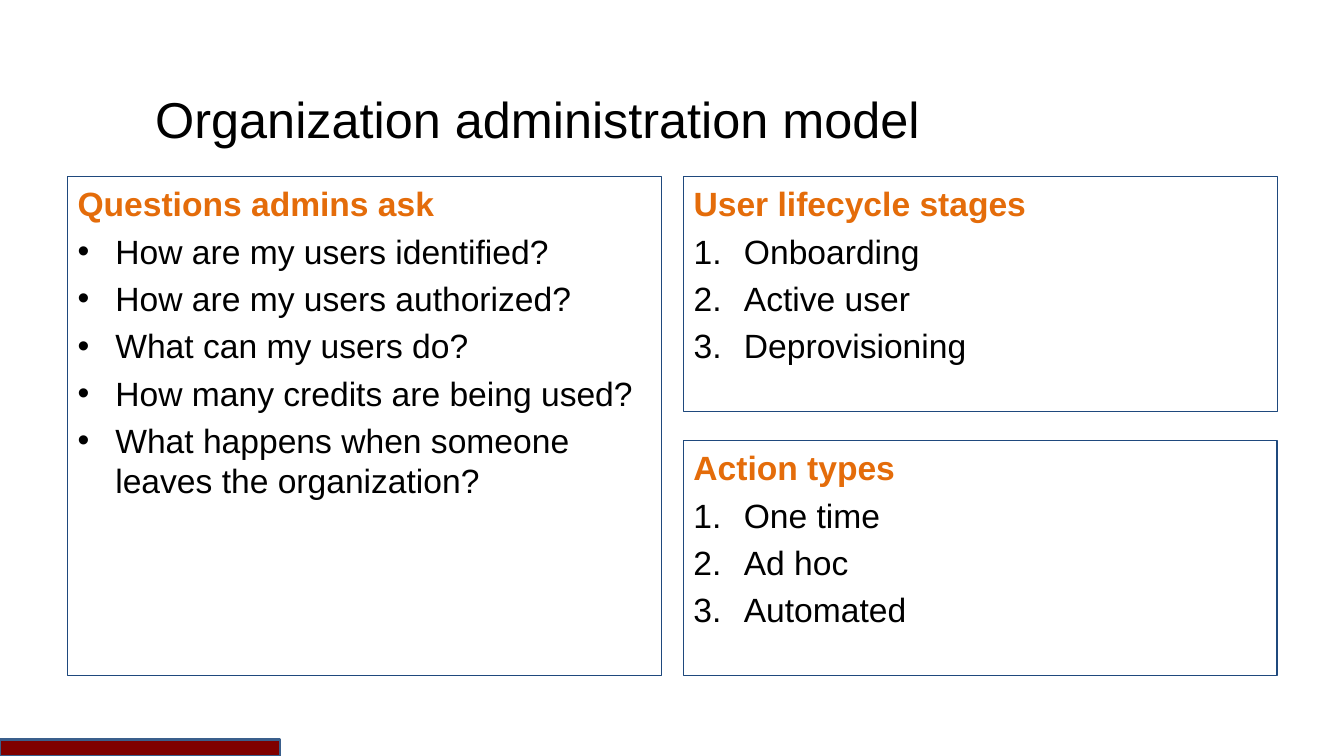
from dataclasses import dataclass
from typing import Optional

from lxml.etree import SubElement
from pptx import Presentation
from pptx.dml.color import RGBColor
from pptx.enum.shapes import MSO_SHAPE
from pptx.enum.text import MSO_ANCHOR, MSO_AUTO_SIZE, PP_ALIGN
from pptx.oxml.ns import qn
from pptx.util import Pt


@dataclass(frozen=True)
class Theme:
    font: str = "Arial"
    title_size: float = 36
    body_size: float = 24
    text: RGBColor = RGBColor(0x00, 0x00, 0x00)
    heading: RGBColor = RGBColor(0xE4, 0x6C, 0x0A)
    border: RGBColor = RGBColor(0x1F, 0x49, 0x7D)
    bar: RGBColor = RGBColor(0x7F, 0x00, 0x00)
    bar_border: RGBColor = RGBColor(0x3A, 0x5F, 0x8C)


@dataclass(frozen=True)
class Panel:
    heading: str
    items: tuple[str, ...]
    left: float
    top: float
    height: float
    numbered: bool = True
    placeholder: Optional[int] = None


THEME = Theme()
PANEL_WIDTH = 424
LEFT_COLUMN, RIGHT_COLUMN = 48.2, 488.2
PANEL_TOP, FULL_HEIGHT, HALF_HEIGHT = 126, 356.4, 168
LOWER_TOP = PANEL_TOP + FULL_HEIGHT - HALF_HEIGHT

PANELS = (
    Panel(
        "Questions admins ask",
        (
            "How are my users identified?",
            "How are my users authorized?",
            "What can my users do?",
            "How many credits are being used?",
            "What happens when someone leaves the organization?",
        ),
        LEFT_COLUMN, PANEL_TOP, FULL_HEIGHT, numbered=False, placeholder=1,
    ),
    Panel(
        "User lifecycle stages",
        ("Onboarding", "Active user", "Deprovisioning"),
        RIGHT_COLUMN, PANEL_TOP, HALF_HEIGHT, placeholder=2,
    ),
    Panel(
        "Action types",
        ("One time", "Ad hoc", "Automated"),
        RIGHT_COLUMN, LOWER_TOP, HALF_HEIGHT,
    ),
)


def place(shape, left: float, top: float, width: float, height: float) -> None:
    shape.left, shape.top = Pt(left), Pt(top)
    shape.width, shape.height = Pt(width), Pt(height)


def format_runs(paragraph, size: float, color: RGBColor, bold: bool = False) -> None:
    for run in paragraph.runs:
        run.font.name = THEME.font
        run.font.size = Pt(size)
        run.font.bold = bold
        run.font.color.rgb = color


def set_marker(paragraph, indent: float, tag: str, **attributes: str) -> None:
    """Give the paragraph a hanging indent and a bullet element."""
    properties = paragraph._p.get_or_add_pPr()
    properties.set("marL", str(Pt(indent)))
    properties.set("indent", str(-Pt(indent)))
    if tag != "a:buNone":
        SubElement(properties, qn("a:buFont"), typeface=THEME.font)
    SubElement(properties, qn(tag), **attributes)


def add_panel(slide, panel: Panel) -> None:
    if panel.placeholder is None:
        shape = slide.shapes.add_textbox(0, 0, 0, 0)
    else:
        shape = slide.placeholders[panel.placeholder]
    place(shape, panel.left, panel.top, PANEL_WIDTH, panel.height)
    shape.line.color.rgb = THEME.border
    shape.line.width = Pt(0.75)

    text_frame = shape.text_frame
    text_frame.word_wrap = True
    text_frame.auto_size = MSO_AUTO_SIZE.NONE
    text_frame.vertical_anchor = MSO_ANCHOR.TOP
    text_frame.margin_top = Pt(5)
    text_frame.text = "\n".join((panel.heading, *panel.items))

    heading, *items = text_frame.paragraphs
    set_marker(heading, 0, "a:buNone")
    heading.space_before = Pt(0)
    format_runs(heading, THEME.body_size, THEME.heading, bold=True)
    for item in items:
        if panel.numbered:
            set_marker(item, 36, "a:buAutoNum", type="arabicPeriod")
        else:
            set_marker(item, 27, "a:buChar", char="•")
        item.space_before = Pt(5)
        format_runs(item, THEME.body_size, THEME.text)


def add_title(slide, text: str) -> None:
    title = slide.shapes.title
    place(title, 103.7, 66.2, 807.8, 36)
    text_frame = title.text_frame
    text_frame.text = text
    text_frame.auto_size = MSO_AUTO_SIZE.NONE
    text_frame.vertical_anchor = MSO_ANCHOR.MIDDLE
    paragraph = text_frame.paragraphs[0]
    paragraph.alignment = PP_ALIGN.LEFT
    format_runs(paragraph, THEME.title_size, THEME.text)


def add_footer_bar(slide) -> None:
    bar = slide.shapes.add_shape(
        MSO_SHAPE.RECTANGLE, Pt(0), Pt(528), Pt(200), Pt(12)
    )
    bar.shadow.inherit = False
    bar.fill.solid()
    bar.fill.fore_color.rgb = THEME.bar
    bar.line.color.rgb = THEME.bar_border
    bar.line.width = Pt(2)


def main() -> None:
    presentation = Presentation()
    presentation.slide_width, presentation.slide_height = Pt(960), Pt(540)
    two_content = presentation.slide_layouts[3]
    slide = presentation.slides.add_slide(two_content)
    add_title(slide, "Organization administration model")
    for panel in PANELS:
        add_panel(slide, panel)
    add_footer_bar(slide)
    presentation.save("out.pptx")


if __name__ == "__main__":
    main()
